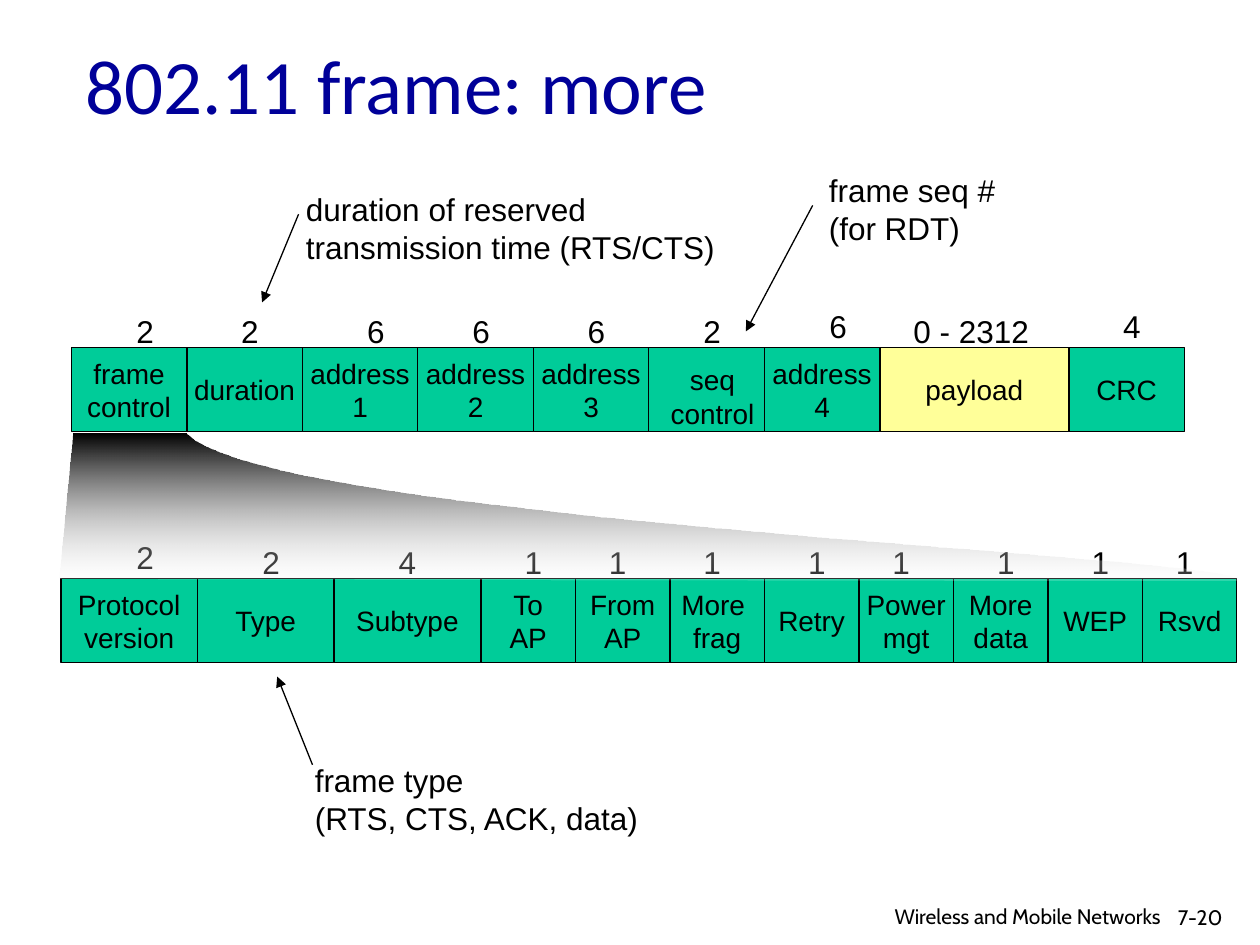
from lxml.etree import SubElement
from pptx import Presentation
from pptx.dml.color import RGBColor
from pptx.enum.shapes import MSO_CONNECTOR, MSO_SHAPE
from pptx.enum.text import MSO_ANCHOR, MSO_AUTO_SIZE, PP_ALIGN
from pptx.oxml.ns import qn
from pptx.util import Inches, Pt

BLACK = RGBColor(0x00, 0x00, 0x00)
WHITE = RGBColor(0xFF, 0xFF, 0xFF)
NAVY = RGBColor(0x00, 0x00, 0x99)
GREEN = RGBColor(0x00, 0xCC, 0x99)
YELLOW = RGBColor(0xFF, 0xFF, 0x99)

UNIT = 1 / 12  # both frame diagrams sit on a grid of twelfths of an inch
LEFT, TOP = -UNIT / 5, 0.01
CELL_ROWS = 8

prs = Presentation()
prs.slide_width, prs.slide_height = Inches(10), Inches(7.5)
slide = prs.slides.add_slide(prs.slide_layouts[6])
shapes = slide.shapes


def write(sp, text, size, font="Arial", color=BLACK, align=PP_ALIGN.LEFT, wrap=False):
    tf = sp.text_frame
    tf.text = text
    tf.word_wrap = wrap
    for p in tf.paragraphs:
        p.alignment = align
        for r in p.runs:
            r.font.size, r.font.name = Pt(size), font
            r.font.color.rgb = color


def add_text(box, text, size=18, **style):
    """Add a text box; box is left, top, width, height in inches."""
    sp = shapes.add_textbox(*map(Inches, box))
    write(sp, text, size, **style)
    if not style.get("wrap"):
        sp.text_frame.auto_size = MSO_AUTO_SIZE.SHAPE_TO_FIT_TEXT


# Each field: caption, width in columns, size label, column and lift of the label
frame_fields = [
    ("frame\ncontrol", 11, "2", 12, 0),
    ("duration", 11, "2", 22, 0),
    ("address\n1", 11, "6", 34, 0),
    ("address\n2", 11, "6", 44, 0),
    ("address\n3", 11, "6", 55, 0),
    ("", 11, "2", 66, 0),
    ("address\n4", 11, "6", 78, 0.5),
    ("payload", 18, "0 - 2312", 86, 0),
    ("CRC", 11, "4", 106, 0.5),
]
control_fields = [
    ("Protocol\nversion", 13, "2", 12, 0.5),
    ("Type", 13, "2", 24, 0),
    ("Subtype", 14, "4", 37, 0),
    ("To\nAP", 9, "1", 49, 0),
    ("From\nAP", 9, "1", 57, 0),
    ("More \nfrag", 9, "1", 66, 0),
    ("Retry", 9, "1", 76, 0),
    ("Power\nmgt", 9, "1", 84, 0),
    ("More\ndata", 9, "1", 94, 0),
    ("WEP", 9, "1", 103, 0),
    ("Rsvd", 9, "1", 111, 0),
]

for col, row, fields in [(7, 33, frame_fields), (6, 55, control_fields)]:
    for caption, cols, bits, bits_col, lift in fields:
        cell = shapes.add_shape(
            MSO_SHAPE.RECTANGLE,
            Inches(LEFT + col * UNIT), Inches(TOP + row * UNIT),
            Inches(cols * UNIT), Inches(CELL_ROWS * UNIT))
        cell.shadow.inherit = False
        cell.fill.solid()
        cell.fill.fore_color.rgb = YELLOW if caption == "payload" else GREEN
        cell.line.color.rgb = BLACK
        cell.line.width = Pt(0.75)
        if caption:
            write(cell, caption, 16, align=PP_ALIGN.CENTER)
            cell.text_frame.vertical_anchor = MSO_ANCHOR.MIDDLE
        label_width = 0.34 if len(bits) == 1 else 1.12
        add_text((LEFT + bits_col * UNIT, TOP + (row - 4 - lift) * UNIT,
                  label_width, 0.4), bits)
        col += cols

add_text((5.22, 2.83, 0.87, 0.64), "seq\ncontrol", 16, align=PP_ALIGN.CENTER)

# Fading wedge from the frame control field down to its subfields
curve = [(9.83, 4.61), (10, 4.41), (2.16, 4.15), (1.48, 3.44)]
STEPS = 40
points = [(0.47, 4.59)]
for i in range(STEPS + 1):
    t = i / STEPS
    weights = [(1 - t) ** 3, 3 * t * (1 - t) ** 2, 3 * t ** 2 * (1 - t), t ** 3]
    points.append(tuple(sum(w * c for w, c in zip(weights, axis)) for axis in zip(*curve)))
builder = shapes.build_freeform(Inches(0.58), Inches(3.44))
builder.add_line_segments([(Inches(x), Inches(y)) for x, y in points], close=True)
wedge = builder.convert_to_shape()
wedge.shadow.inherit = False
wedge.line.fill.background()
wedge.fill.gradient()
wedge.fill.gradient_angle = 270
for stop, color, position in zip(wedge.fill.gradient_stops, (BLACK, WHITE), (0, 1)):
    stop.color.rgb, stop.position = color, position
last_color = list(wedge.element.spPr.iter(qn("a:srgbClr")))[-1]
SubElement(last_color, qn("a:alpha"), val="18000")

# Notes and the arrows that tie them to fields
add_text((2.33, 1.46, 3.48, 0.71), "duration of reserved\ntransmission time (RTS/CTS)")
add_text((6.48, 1.31, 1.53, 0.71), "frame seq #\n(for RDT)")
add_text((2.4, 5.99, 2.82, 0.7), "frame type\n(RTS, CTS, ACK, data)")
for ends in [(2.37, 1.7, 2.08, 2.4), (6.45, 1.63, 5.92, 2.63), (2.48, 6.07, 2.2, 5.37)]:
    arrow = shapes.add_connector(MSO_CONNECTOR.STRAIGHT, *map(Inches, ends))
    arrow.line.color.rgb = BLACK
    arrow.line.width = Pt(0.75)
    props = arrow.element.spPr
    SubElement(props.find(qn("a:ln")), qn("a:tailEnd"), type="triangle")
    SubElement(props, qn("a:effectLst"))

add_text((0.58, 0.25, 8.5, 1.25), "802.11 frame: more", 44,
         font="Calibri", color=NAVY, wrap=True)
add_text((9.25, 7.13, 0.75, 0.3), "7-20", 12, font="Cabin", wrap=True)
add_text((6.4, 7.12, 2.95, 0.28), "Wireless and Mobile Networks ", 12,
         font="Cabin", align=PP_ALIGN.RIGHT, wrap=True)

prs.save("out.pptx")
